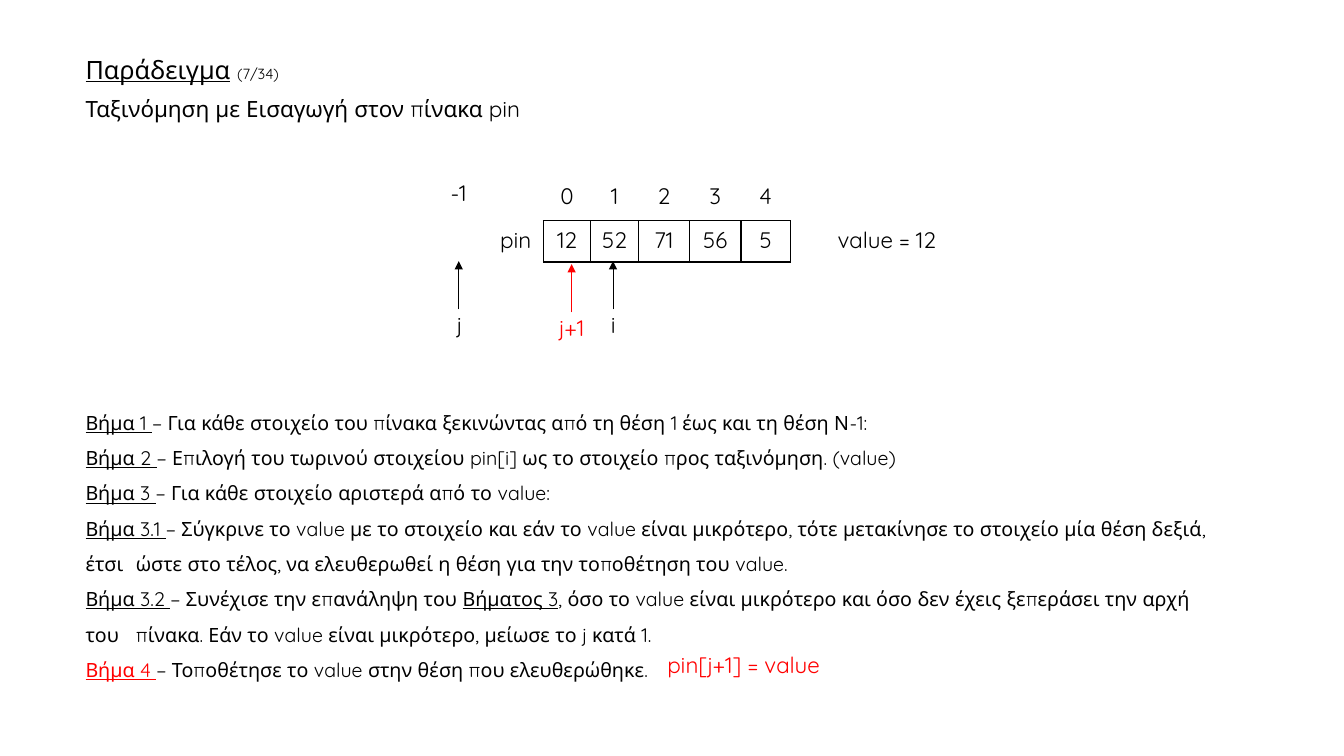
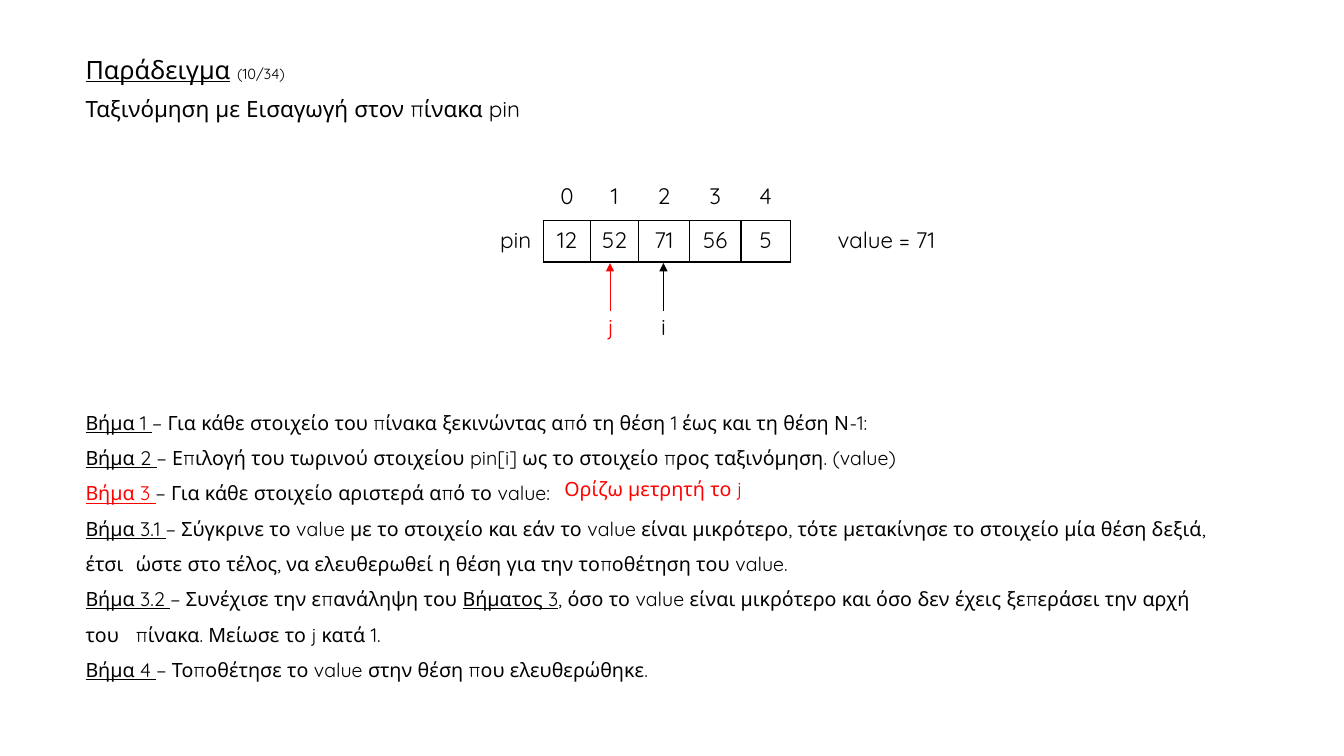
from lxml.etree import SubElement
from pptx import Presentation
from pptx.dml.color import RGBColor
from pptx.enum.shapes import MSO_CONNECTOR
from pptx.enum.text import MSO_AUTO_SIZE, PP_ALIGN
from pptx.oxml.ns import qn
from pptx.util import Emu, Pt

BLACK, RED = "000000", "FF0000"
SUBTITLE = "Ταξινόμηση με Εισαγωγή στον πίνακα pin"
NUMBERS = [12, 52, 71, 56, 5]
COLUMN_WIDTHS = [55, 47, 47, 51, 51, 49]
ROW_HEIGHTS = [43, 41]


def px(length):
    """100 px make one inch."""
    return Emu(length * 9144)


def color(hex_string):
    return RGBColor.from_string(hex_string)


class Deck:
    font = "Quicksand"
    text_size = 16
    small_size = 14
    border_width = Pt(1)
    arrow_width = Pt(0.5)

    def __init__(self):
        self.presentation = Presentation()
        self.presentation.slide_width = px(1333)
        self.presentation.slide_height = px(750)
        self.slide = None

    def new_slide(self):
        layout = self.presentation.slide_layouts[6]
        self.slide = self.presentation.slides.add_slide(layout)

    def run(self, paragraph, text, size=text_size, hex_color=BLACK, underline=False):
        run = paragraph.add_run()
        run.text = text
        run.font.name = self.font
        run.font.size = Pt(size)
        run.font.color.rgb = color(hex_color)
        run.font.underline = underline

    def text_frame(self, left, top, width, height):
        shape = self.slide.shapes.add_textbox(px(left), px(top), px(width), px(height))
        shape.text_frame.word_wrap = True
        return shape.text_frame

    def heading_style(self, paragraph, align=PP_ALIGN.LEFT):
        paragraph.line_spacing = 0.9
        paragraph.space_before = Pt(10)
        paragraph.alignment = align

    def label(self, text, left, top, width, height, hex_color=BLACK,
              size=text_size, align=PP_ALIGN.LEFT):
        paragraph = self.text_frame(left, top, width, height).paragraphs[0]
        self.heading_style(paragraph, align)
        self.run(paragraph, text, size, hex_color)

    def title(self, counter):
        frame = self.text_frame(75, 52, 1079, 77)
        first, second = frame.paragraphs[0], frame.add_paragraph()
        for paragraph in (first, second):
            self.heading_style(paragraph)
        self.run(first, "Παράδειγμα", 18, underline=True)
        self.run(first, " ", 18)
        self.run(first, counter, 10.5)
        self.run(second, SUBTITLE)

    def steps(self, steps, active):
        frame = self.text_frame(75, 391, 1153, 288)
        frame.auto_size = MSO_AUTO_SIZE.SHAPE_TO_FIT_TEXT
        for index, (number, parts) in enumerate(steps):
            paragraph = frame.add_paragraph() if index else frame.paragraphs[0]
            paragraph.line_spacing = 1.5
            self.run(paragraph, f"Βήμα {number} ", self.small_size,
                     RED if number == active else BLACK, True)
            # Every second part refers to another step and is underlined
            for position, part in enumerate(parts):
                self.run(paragraph, part, self.small_size, underline=position % 2 == 1)

    def pointer(self, text, center, top, hex_color=BLACK, width=24):
        self.label(text, center - width // 2, top, width, 36, hex_color,
                   align=PP_ALIGN.CENTER)
        arrow = self.slide.shapes.add_connector(
            MSO_CONNECTOR.STRAIGHT, px(center), px(top), px(center), px(top - 48))
        arrow.line.color.rgb = color(hex_color)
        arrow.line.width = self.arrow_width
        SubElement(arrow.line._get_or_add_ln(), qn("a:tailEnd"), type="triangle")
        SubElement(arrow._element.spPr, qn("a:effectLst"))

    def borders(self, cell, visible_sides):
        properties = cell._tc.get_or_add_tcPr()
        for side in "LRTB":
            line = SubElement(properties, qn(f"a:ln{side}"), w=str(self.border_width))
            if side in visible_sides:
                fill = SubElement(line, qn("a:solidFill"))
                SubElement(fill, qn("a:srgbClr"), val=BLACK)
            else:
                SubElement(line, qn("a:noFill"))

    def array_table(self, numbers):
        rows = [["", *range(len(numbers))], ["pin", *numbers]]
        table = self.slide.shapes.add_table(
            len(rows), len(rows[0]), px(484), px(176),
            px(sum(COLUMN_WIDTHS)), px(sum(ROW_HEIGHTS))).table
        table.first_row = table.horz_banding = False
        for column, width in zip(table.columns, COLUMN_WIDTHS):
            column.width = px(width)
        for row, height in zip(table.rows, ROW_HEIGHTS):
            row.height = px(height)
        # Only the number cells are boxed; neighbours share their edges
        sides = [["", "B"], ["R", "LRTB"]]
        for row_index, values in enumerate(rows):
            for column_index, value in enumerate(values):
                cell = table.cell(row_index, column_index)
                self.borders(cell, sides[row_index][column_index > 0])
                cell.fill.background()
                paragraph = cell.text_frame.paragraphs[0]
                paragraph.alignment = PP_ALIGN.CENTER
                if value != "":
                    self.run(paragraph, str(value))

    def example(self, counter, active, value, step_ending):
        """Everything the example slides share."""
        self.new_slide()
        self.steps(algorithm(step_ending), active)
        self.title(counter)
        self.label(f"value = {value}", 821, 222, 131, 47)
        self.array_table(NUMBERS)


def algorithm(step_ending):
    return [
        ("1", ["− Για κάθε στοιχείο του πίνακα ξεκινώντας από τη θέση 1 "
               "έως και τη θέση Ν-1:"]),
        ("2", ["− Επιλογή του τωρινού στοιχείου pin[i] ως το στοιχείο "
               "προς ταξινόμηση. (value)"]),
        ("3", ["− Για κάθε στοιχείο αριστερά από το value:"]),
        ("3.1", ["− Σύγκρινε το value με το στοιχείο και εάν το value είναι "
                 "μικρότερο, τότε μετακίνησε το στοιχείο μία θέση δεξιά, έτσι "
                 "\tώστε στο τέλος, να ελευθερωθεί η θέση για την τοποθέτηση "
                 "του value."]),
        ("3.2", ["− Συνέχισε την επανάληψη του ", "Βήματος 3",
                 ", όσο το value είναι μικρότερο και όσο δεν έχεις ξεπεράσει "
                 f"την αρχή του \tπίνακα. {step_ending}"]),
        ("4", ["− Τοποθέτησε το value στην θέση που ελευθερώθηκε."]),
    ]


def main():
    deck = Deck()

    # Step 4: the value is placed
    deck.example("(7/34)", "4", 12, "Εάν το value είναι μικρότερο, μείωσε το j κατά 1.")
    deck.label("pin[j+1] = value", 652, 644, 198, 47, RED)
    deck.label("-1", 437, 176, 47, 36)
    deck.pointer("j", 455, 307)
    deck.pointer("j+1", 567, 310, RED, width=56)
    deck.pointer("i", 608, 307)

    # Step 3: the counter j is set
    deck.example("(10/34)", "3", 71, "Μείωσε το j κατά 1.")
    deck.label("Ορίζω μετρητή το j", 550, 471, 256, 39, RED, deck.small_size)
    deck.pointer("j", 605, 309, RED)
    deck.pointer("i", 658, 309)

    deck.presentation.save("out.pptx")


if __name__ == "__main__":
    main()
